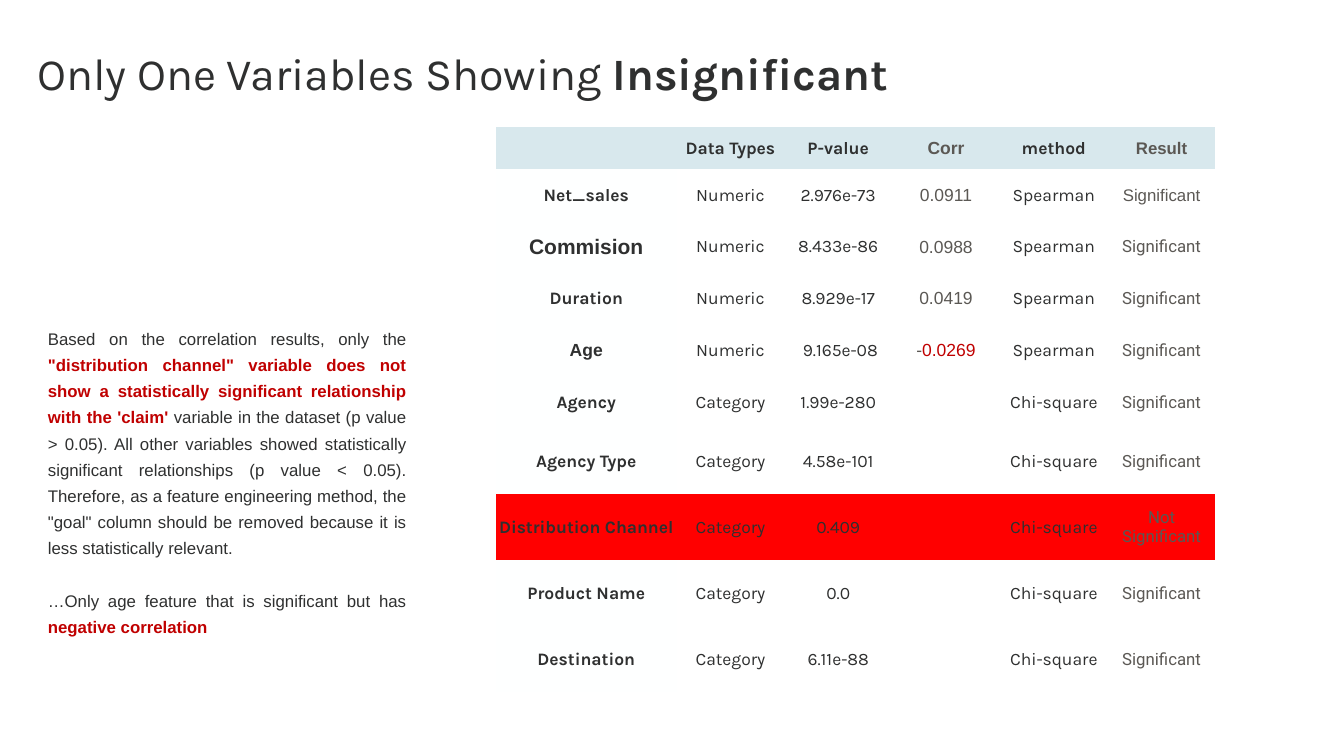
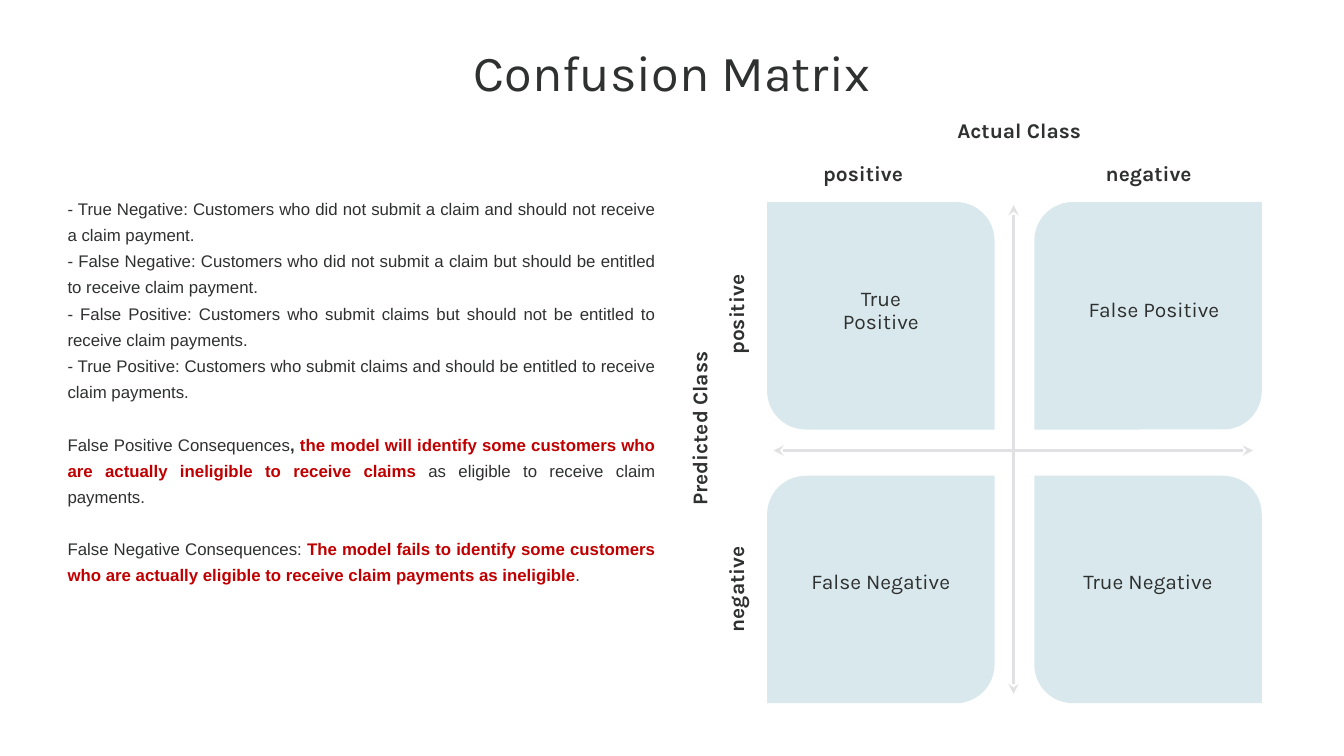
from pptx import Presentation
from pptx.dml.color import RGBColor
from pptx.enum.shapes import MSO_CONNECTOR as LINE, MSO_SHAPE as SHAPE
from pptx.enum.text import MSO_ANCHOR as ANCHOR, MSO_AUTO_SIZE as FIT, PP_ALIGN as ALIGN
from pptx.oxml.ns import qn
from pptx.util import Pt
from lxml.etree import SubElement

# Shared look
INK = RGBColor(0x2F, 0x30, 0x30)
GREY = RGBColor(0x5B, 0x58, 0x54)
RED = RGBColor(0xC0, 0x00, 0x00)
ALERT = RGBColor(0xFF, 0x00, 0x00)
PALE = RGBColor(0xD8, 0xE8, 0xED)
NEAR = RGBColor(0xFE, 0xFF, 0xFF)
RULE = RGBColor(0xE1, 0xE1, 0xE3)
HEAD, BODY, CELL = "Karla", "Arial", "Roboto"
GAP = 37.4  # one body line
NO_GRID = "{2D5ABB26-0587-4C30-8999-92F81FD0307C}"

# Table content
COLS = [258] + [154] * 5
ROWS = [60] + [74] * 5 + [94.3] * 4
HEADER = ["", "Data Types", "P-value", "Corr", "method", "Result"]
NUMERIC = [
    ("Net_sales", "2.976e-73", "0.0911"),
    ("Commision", "8.433e-86", "0.0988"),
    ("Duration", "8.929e-17", "0.0419"),
    ("Age", " 9.165e-08", "-0.0269"),
]
CATEGORY = [
    ("Agency", "1.99e-280"),
    ("Agency Type", "4.58e-101"),
    ("Distribution Channel", "0.409"),
    ("Product Name", "0.0"),
    ("Destination", "6.11e-88"),
]
OUTLIER = "Distribution Channel"

# Body content: (space before, [(text, bold, colour), ...])
FINDINGS = [
    (0, [
        ("Based on the correlation results, only the ", False, INK),
        ("\"distribution channel\" variable does not show a statistically "
         "significant relationship with the 'claim' ", True, RED),
        ("variable in the dataset (p value > 0.05). All other variables showed "
         "statistically significant relationships (p value < 0.05). Therefore, "
         "as a feature engineering method, the \"goal\" column should be removed "
         "because it is less statistically relevant.", False, INK),
    ]),
    (GAP, [
        ("…Only age feature that is significant but has ", False, INK),
        ("negative correlation", True, RED),
    ]),
]
TERMS = [
    "- True Negative: Customers who did not submit a claim and should not "
    "receive a claim payment.",
    "- False Negative: Customers who did not submit a claim but should be "
    "entitled to receive claim payment.",
    "- False Positive: Customers who submit claims but should not be entitled "
    "to receive claim payments.",
    "- True Positive: Customers who submit claims and should be entitled to "
    "receive claim payments.",
]
MEANING = [(0, [(term, False, INK)]) for term in TERMS] + [
    (GAP, [
        ("False Positive Consequences", False, INK),
        (", ", True, INK),
        ("the model will identify some customers who are actually ineligible "
         "to receive claims ", True, RED),
        ("as eligible to receive claim payments.", False, INK),
    ]),
    (GAP, [
        ("False Negative Consequences: ", False, INK),
        ("The model fails to identify some customers who are actually eligible "
         "to receive claim payments as ineligible", True, RED),
        (".", False, INK),
    ]),
]


def add_run(para, text, size, font=HEAD, color=INK, bold=False):
    run = para.add_run()
    run.text = text
    run.font.size = Pt(size)
    run.font.name = font
    run.font.bold = bold
    run.font.color.rgb = color


def place(shape, left, top, width, height):
    shape.left, shape.top = Pt(left), Pt(top)
    shape.width, shape.height = Pt(width), Pt(height)


def set_frame(shape, anchor):
    frame = shape.text_frame
    frame.word_wrap = True
    frame.auto_size = FIT.NONE
    frame.vertical_anchor = anchor
    frame.margin_left = frame.margin_right = 0
    frame.margin_top = frame.margin_bottom = 0
    return frame


def add_title(slide, box, size, align, runs):
    title = slide.shapes.title
    place(title, *box)
    para = set_frame(title, ANCHOR.MIDDLE).paragraphs[0]
    para.alignment = align
    para.line_spacing = 0.8
    for text, bold in runs:
        add_run(para, text, size, bold=bold)


def add_body(slide, box, paras):
    body = slide.placeholders[1]
    place(body, *box)
    frame = set_frame(body, ANCHOR.TOP)
    for i, (gap, runs) in enumerate(paras):
        para = frame.add_paragraph() if i else frame.paragraphs[0]
        para.alignment = ALIGN.JUSTIFY
        para.line_spacing = 1.3
        para.space_before, para.space_after = Pt(gap), Pt(0)
        props = para._p.get_or_add_pPr()
        props.set("marL", "0")
        props.set("indent", "0")
        SubElement(props, qn("a:buNone"))
        for text, bold, color in runs:
            add_run(para, text, 24, BODY, color, bold)


def cell_style(row, col, name):
    """Size, font and colour of a cell's text."""
    if col == 5:
        return 24, BODY if row < 2 else CELL, GREY
    if col == 3:
        return 25, BODY, GREY
    if col == 0 and name in ("Commision", "Age"):
        return 30 if name == "Commision" else 25, BODY, INK
    return 25, HEAD, INK


def fill_cell(cell, row, col, text, name):
    cell.vertical_anchor = ANCHOR.MIDDLE
    cell.margin_left = cell.margin_right = Pt(3)
    cell.margin_top = cell.margin_bottom = Pt(3)
    # Background
    if row == 0 or name == OUTLIER or col == 0:
        cell.fill.solid()
        cell.fill.fore_color.rgb = (
            PALE if row == 0 else ALERT if name == OUTLIER else NEAR)
    else:
        cell.fill.background()
    # Text
    if not text:
        return
    para = cell.text_frame.paragraphs[0]
    para.alignment = ALIGN.CENTER
    size, font, color = cell_style(row, col, name)
    if col == 3 and text.startswith("-"):
        add_run(para, "-", size, font, color)
        text, color = text[1:], RED
    add_run(para, text, size, font, color, row == 0 or col == 0)


def add_grid(slide, left, top):
    data = [HEADER]
    data += [[name, "Numeric", p, corr, "Spearman", "Significant"]
             for name, p, corr in NUMERIC]
    data += [[name, "Category", p, "", "Chi-square",
              "Not Significant" if name == OUTLIER else "Significant"]
             for name, p in CATEGORY]
    table = slide.shapes.add_table(
        len(ROWS), len(COLS), Pt(left), Pt(top),
        Pt(sum(COLS)), Pt(sum(ROWS))).table
    table.first_row = table.horz_banding = False
    table._tbl.tblPr.find(qn("a:tableStyleId")).text = NO_GRID
    for col, width in enumerate(COLS):
        table.columns[col].width = Pt(width)
    for row, height in enumerate(ROWS):
        table.rows[row].height = Pt(height)
        for col, text in enumerate(data[row]):
            fill_cell(table.cell(row, col), row, col, text, data[row][0])


def add_label(slide, mid_x, mid_y, lines, bold=False, turn=0):
    width, height = 318, 66
    box = slide.shapes.add_textbox(
        Pt(mid_x - width / 2), Pt(mid_y - height / 2), Pt(width), Pt(height))
    box.rotation = turn
    frame = set_frame(box, ANCHOR.MIDDLE)
    for i, text in enumerate(lines):
        para = frame.add_paragraph() if i else frame.paragraphs[0]
        para.alignment = ALIGN.CENTER
        para.line_spacing = 0.9
        add_run(para, text, 30, bold=bold)


def add_tile(slide, left, top, side, falling):
    """Square with two opposite round corners."""
    tile = slide.shapes.add_shape(
        SHAPE.ROUND_2_DIAG_RECTANGLE, Pt(left), Pt(top), Pt(side), Pt(side))
    tile.adjustments[0] = 0.17 if falling else 0
    tile.adjustments[1] = 0 if falling else 0.17
    tile.shadow.inherit = False
    tile.fill.solid()
    tile.fill.fore_color.rgb = PALE
    tile.line.fill.background()


def add_axis(slide, x1, y1, x2, y2):
    axis = slide.shapes.add_connector(
        LINE.STRAIGHT, Pt(x1), Pt(y1), Pt(x2), Pt(y2))
    axis.line.color.rgb = RULE
    axis.line.width = Pt(5)
    props = axis._element.spPr
    for end in ("a:headEnd", "a:tailEnd"):
        SubElement(props.find(qn("a:ln")), qn(end)).set("type", "stealth")
    SubElement(props, qn("a:effectLst"))


def add_matrix(slide):
    # Tiles
    left, top, side, step_x, step_y = 1095.8, 288.6, 325, 381.8, 391
    for row in range(2):
        for col in range(2):
            add_tile(slide, left + col * step_x, top + row * step_y,
                     side, row != col)
    # Axes
    add_axis(slide, 1448, 293, 1448, 991.5)
    add_axis(slide, 1790, 643.7, 1105, 643.7)
    # Tile names
    add_label(slide, 1258.3, 444.2, ["True", "Positive"])
    add_label(slide, 1648.5, 444.2, ["False Positive"])
    add_label(slide, 1258.3, 833, ["False Negative"])
    add_label(slide, 1640, 833, ["True Negative"])
    # Class names
    add_label(slide, 1456, 187.5, ["Actual Class"], True)
    add_label(slide, 1233, 250.2, ["positive"], True)
    add_label(slide, 1641, 250.2, ["negative"], True)
    add_label(slide, 1000.8, 612.4, ["Predicted Class"], True, 270)
    add_label(slide, 1053.4, 449.6, ["positive"], True, 270)
    add_label(slide, 1053.4, 842, ["negative"], True, 270)


def main():
    deck = Presentation()
    deck.slide_width, deck.slide_height = Pt(1920), Pt(1080)
    layout = deck.slide_layouts[1]

    # Significance table
    slide = deck.slides.add_slide(layout)
    add_title(slide, (53.3, 80, 1654.5, 62), 64, ALIGN.LEFT,
              [("Only One Variables Showing ", False), ("Insignificant", True)])
    add_grid(slide, 708.5, 182)
    add_body(slide, (68.4, 460.8, 512, 570), FINDINGS)

    # Confusion matrix
    slide = deck.slides.add_slide(layout)
    add_title(slide, (418.3, 75.6, 1083, 70), 72, ALIGN.CENTER,
              [("Confusion Matrix", False)])
    add_matrix(slide)
    add_body(slide, (96.5, 275, 839.5, 420.5), MEANING)

    deck.save("out.pptx")


if __name__ == "__main__":
    main()
